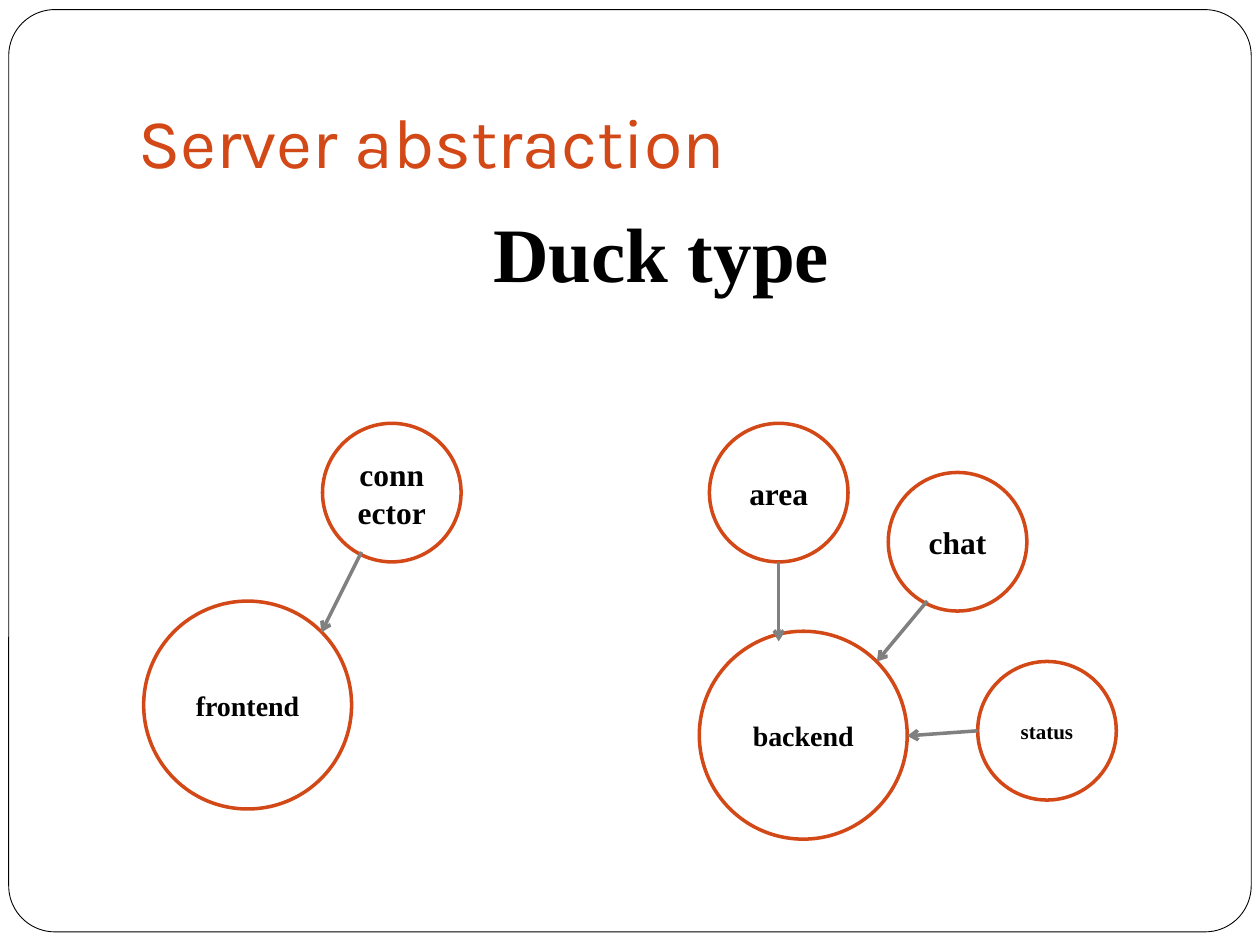
from lxml import etree
from pptx import Presentation
from pptx.dml.color import RGBColor
from pptx.enum.shapes import MSO_CONNECTOR as Connector, MSO_SHAPE as Preset
from pptx.enum.text import MSO_ANCHOR as Anchor, PP_ALIGN as Align
from pptx.oxml.ns import qn
from pptx.util import Pt

ORANGE = RGBColor(0xD3, 0x48, 0x17)
GRAY = RGBColor(0x80, 0x80, 0x80)
BLACK = RGBColor(0, 0, 0)
WHITE = RGBColor(0xFF, 0xFF, 0xFF)

SERVER_SIZE = 118.8
SERVICE_SIZE = 79.2

# Name, left, top, diameter, text size
CIRCLES = [
    ("frontend", 82.1, 343.5, SERVER_SIZE, 16),
    ("connector", 184.3, 241.9, SERVICE_SIZE, 18),
    ("backend", 399.6, 360.7, SERVER_SIZE, 16),
    ("area", 405.4, 241.9, SERVICE_SIZE, 18),
    ("chat", 507.6, 270, SERVICE_SIZE, 18),
    ("status", 558.7, 378, SERVICE_SIZE, 12),
]

# Start x, start y, end x, end y
ARROWS = [
    (206.6, 315.4, 183.6, 361.4),  # connector to frontend
    (445, 321.1, 445, 366.5),  # area to backend
    (529.9, 343.4, 501.1, 378),  # chat to backend
    (558.7, 417.6, 518.4, 420.5),  # status to backend
]


def write_text(frame, text, size, color=BLACK, font="Times New Roman",
               bold=True, align=Align.CENTER, anchor=Anchor.MIDDLE,
               space_before=0):
    frame.word_wrap = True
    frame.vertical_anchor = anchor
    paragraph = frame.paragraphs[0]
    paragraph.alignment = align
    paragraph.space_before = Pt(space_before)
    run = paragraph.add_run()
    run.text = text
    run.font.name = font
    run.font.size = Pt(size)
    run.font.bold = bold
    run.font.color.rgb = color


def add_text_box(slide, left, top, width, height, text, **text_format):
    box = slide.shapes.add_textbox(Pt(left), Pt(top), Pt(width), Pt(height))
    write_text(box.text_frame, text, **text_format)
    return box


def add_outlined_shape(slide, preset, left, top, width, height, color, weight):
    shape = slide.shapes.add_shape(preset, Pt(left), Pt(top), Pt(width), Pt(height))
    shape.shadow.inherit = False
    shape.fill.solid()
    shape.fill.fore_color.rgb = WHITE
    shape.line.color.rgb = color
    shape.line.width = Pt(weight)
    return shape


def add_circle(slide, name, left, top, diameter, size):
    circle = add_outlined_shape(slide, Preset.OVAL, left, top, diameter, diameter,
                                ORANGE, 2)
    write_text(circle.text_frame, name, size=size)


def add_arrow(slide, *ends):
    arrow = slide.shapes.add_connector(Connector.STRAIGHT, *map(Pt, ends))
    arrow.line.color.rgb = GRAY
    arrow.line.width = Pt(2)
    etree.SubElement(arrow.line._get_or_add_ln(), qn("a:tailEnd"), type="arrow")
    etree.SubElement(arrow._element.spPr, qn("a:effectLst"))


def main():
    presentation = Presentation()
    presentation.slide_width = Pt(720)
    presentation.slide_height = Pt(540)
    slide = presentation.slides.add_slide(presentation.slide_layouts[6])

    # Rounded frame
    frame = add_outlined_shape(slide, Preset.ROUNDED_RECTANGLE,
                               5, 5.5, 710, 527, BLACK, 0.5)
    frame.adjustments[0] = 0.05

    # Title and heading
    title = add_text_box(slide, 72, 21.6, 612, 90, "Server abstraction",
                         size=40, color=ORANGE, font="Karla", bold=False,
                         align=Align.LEFT, anchor=Anchor.BOTTOM)
    title.text_frame.margin_bottom = Pt(7.2)
    add_text_box(slide, 72, 113.8, 612, 360, "Duck type",
                 size=44, anchor=Anchor.TOP, space_before=5.8)

    # Servers and their services
    for circle in CIRCLES:
        add_circle(slide, *circle)
    for arrow in ARROWS:
        add_arrow(slide, *arrow)

    presentation.save("out.pptx")


if __name__ == "__main__":
    main()
